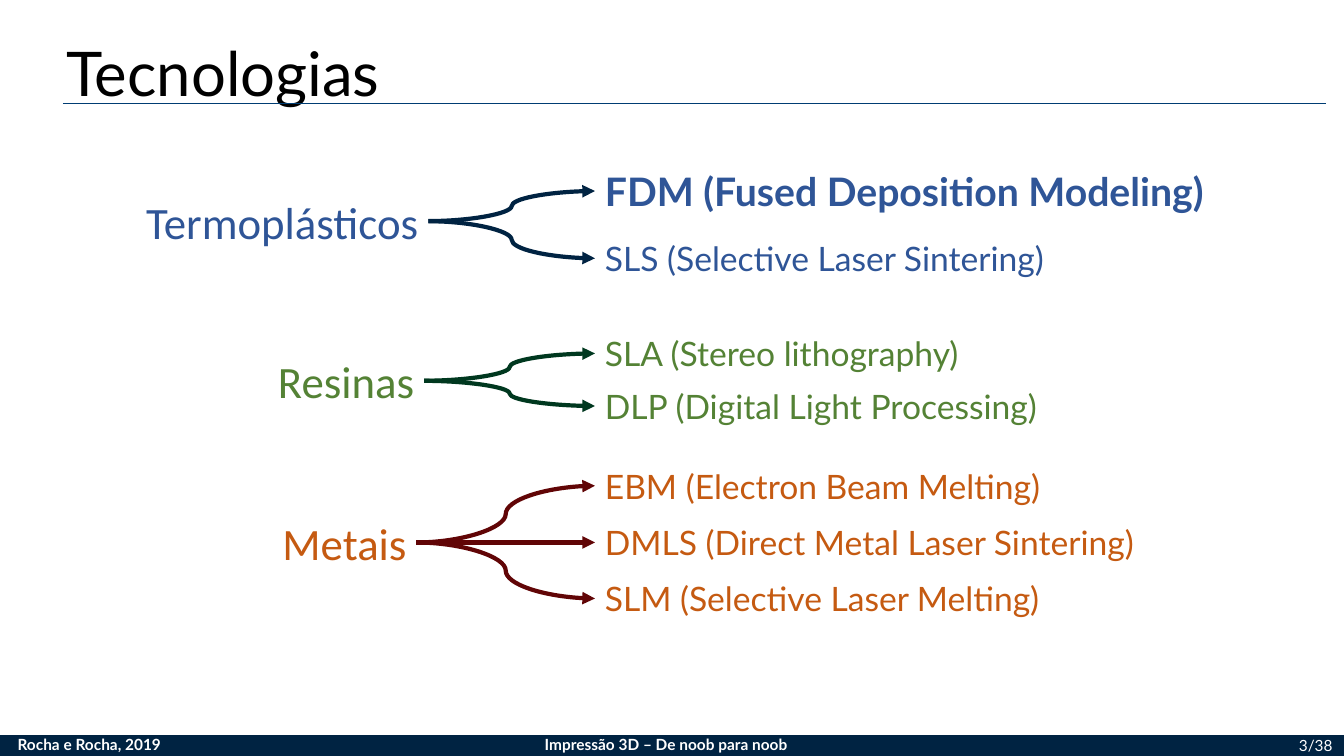
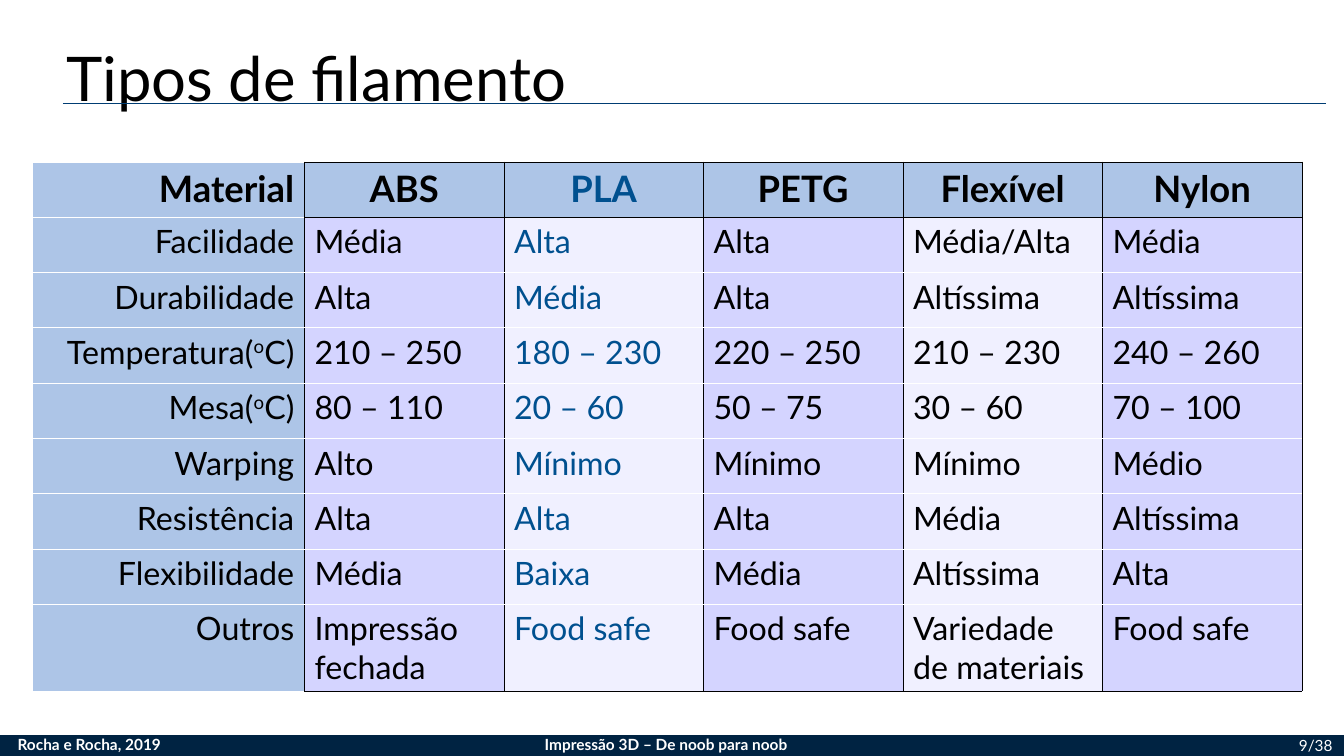
"""Build two slides on 3D printing: technologies and filament types."""
from lxml import etree
from pptx import Presentation
from pptx.dml.color import RGBColor
from pptx.enum import shapes, text
from pptx.oxml import ns
from pptx.util import Pt

COLOURS = {
    "navy": "002342", "rule": "003D73", "white": "FFFFFF", "black": "000000",
    "blue": "2F5597", "green": "548235", "orange": "C55A11",
    "dark green": "00381F", "dark red": "610506",
    "heading": "ADC5E7", "odd": "D4D4FF", "even": "F0F0FF", "highlight": "00508F",
}
WIDTH, HEIGHT = 960, 540
BAND_TOP = 525
BRANCH_LEFT = 425
LEFT, CENTRE, RIGHT = text.PP_ALIGN.LEFT, text.PP_ALIGN.CENTER, text.PP_ALIGN.RIGHT

# name, colour, arrow colour, right edge, centre, branches (text, centre)
FAMILIES = [
    ("Termoplásticos", "blue", "navy", 306, 158, [
        ("FDM (Fused Deposition Modeling)", 136.5),
        ("SLS (Selective Laser Sintering)", 184.5)]),
    ("Resinas", "green", "dark green", 303, 272, [
        ("SLA (Stereo lithography)", 252.5),
        ("DLP (Digital Light Processing)", 290)]),
    ("Metais", "orange", "dark red", 297.5, 387.5, [
        ("EBM (Electron Beam Melting)", 347),
        ("DMLS (Direct Metal Laser Sintering)", 387.5),
        ("SLM (Selective Laser Melting)", 427.5)]),
]
MAIN_BRANCH = "FDM (Fused Deposition Modeling)"

FILAMENTS = [
    ["Material", "ABS", "PLA", "PETG", "Flexível", "Nylon"],
    ["Facilidade", "Média", "Alta", "Alta", "Média/Alta", "Média"],
    ["Durabilidade", "Alta", "Média", "Alta", "Altíssima", "Altíssima"],
    ["Temperatura(^o^C)", "210 – 250", "180 – 230", "220 – 250", "210 – 230", "240 – 260"],
    ["Mesa(^o^C)", "80 – 110", "20 – 60", "50 – 75", "30 – 60", "70 – 100"],
    ["Warping", "Alto", "Mínimo", "Mínimo", "Mínimo", "Médio"],
    ["Resistência", "Alta", "Alta", "Alta", "Média", "Altíssima"],
    ["Flexibilidade", "Média", "Baixa", "Média", "Altíssima", "Alta"],
    ["Outros", "Impressão fechada", "Food safe", "Food safe", "Variedade de materiais",
     "Food safe"],
]
HIGHLIGHT_COLUMN = FILAMENTS[0].index("PLA")


def rgb(name):
    """Return the named colour."""
    return RGBColor.from_string(COLOURS[name])


def write(para, words, size, colour, bold=False, align=LEFT, font="Lato"):
    """Fill and format a paragraph; words between carets are superscript."""
    para.alignment = align
    para.font.name = font
    para.font.size = Pt(size)
    para.font.bold = bold
    para.font.color.rgb = rgb(colour)
    for index, part in enumerate(words.split("^")):
        span = para.add_run()
        span.text = part
        if index % 2:
            span._r.get_or_add_rPr().set("baseline", "33000")


def add_text(page, left, middle, width, height, words, size, colour, **style):
    """Add a text box centred vertically on a given height."""
    box = page.shapes.add_textbox(Pt(left), Pt(middle - height / 2), Pt(width), Pt(height))
    frame = box.text_frame
    frame.word_wrap = True
    frame.vertical_anchor = text.MSO_ANCHOR.MIDDLE
    write(frame.paragraphs[0], words, size, colour, **style)


def add_line(page, kind, start, end, colour, weight, arrow=False):
    """Add a connector, with an arrowhead at its end if wanted."""
    line = page.shapes.add_connector(kind, *map(Pt, start + end))
    line.line.color.rgb = rgb(colour)
    line.line.width = Pt(weight)
    if arrow:
        etree.SubElement(line.line._get_or_add_ln(), ns.qn("a:tailEnd"), type="triangle")
    etree.SubElement(line._element.spPr, ns.qn("a:effectLst"))


def add_page(deck, title, title_top, title_height, number):
    """Add a slide with the shared band, footers, rule and title."""
    page = deck.slides.add_slide(deck.slide_layouts.get_by_name("Title Only"))
    band = page.shapes.add_shape(shapes.MSO_SHAPE.RECTANGLE, 0, Pt(BAND_TOP),
                                 Pt(WIDTH), Pt(HEIGHT - BAND_TOP))
    band.shadow.inherit = False
    band.fill.solid()
    band.fill.fore_color.rgb = rgb("navy")
    band.line.fill.background()
    for left, middle, width, words, bold, align in [
            (5.5, 532, 130, "Rocha e Rocha, 2019", True, LEFT),
            (382, 532, 200, "Impressão 3D – De noob para noob", True, LEFT),
            (827, 532.5, 132, f"{number}/38", False, RIGHT)]:
        add_text(page, left, middle, width, 20, words, 11, "white", bold=bold, align=align)
    add_line(page, shapes.MSO_CONNECTOR.STRAIGHT, (45, 74), (947, 74), "rule", 1)

    heading = page.shapes.title
    heading.left, heading.top = Pt(40), Pt(title_top)
    heading.width, heading.height = Pt(828), Pt(title_height)
    frame = heading.text_frame
    frame.auto_size = text.MSO_AUTO_SIZE.NONE
    frame.vertical_anchor = text.MSO_ANCHOR.MIDDLE
    frame.paragraphs[0].line_spacing = 0.9
    write(frame.paragraphs[0], title, 44, "black")
    return page


def add_family(page, name, colour, arrow_colour, right, middle, branches):
    """Add a material family with a curved arrow to each technology."""
    add_text(page, right - 253, middle, 253, 45, name, 32, colour,
             align=RIGHT, font="Calibri")
    for words, branch_middle in branches:
        main_branch = words == MAIN_BRANCH
        add_text(page, BRANCH_LEFT, branch_middle, 480, 40 if main_branch else 36, words,
                 28 if main_branch else 24, colour, bold=main_branch)
        add_line(page, shapes.MSO_CONNECTOR.CURVE, (right, middle),
                 (BRANCH_LEFT, branch_middle), arrow_colour, 3, arrow=True)


def set_borders(cell, **edges):
    """Give each named cell edge a hairline of its colour."""
    for edge, colour in edges.items():
        line = etree.SubElement(cell._tc.get_or_add_tcPr(), ns.qn(f"a:ln{edge}"), w="762")
        fill = etree.SubElement(line, ns.qn("a:solidFill"))
        etree.SubElement(fill, ns.qn("a:srgbClr"), val=COLOURS[colour])


def format_cell(cell, row, column, words):
    """Fill a filament cell according to its row and column."""
    def across(edge):
        """Return the colour of a horizontal edge."""
        return "black" if column and edge in (0, 1, len(FILAMENTS)) else "white"

    set_borders(cell, L="black" if column else "white", R="black",
                T=across(row), B=across(row + 1))
    header = row == 0
    if header or column == 0:
        fill = "heading"
    else:
        fill = "odd" if column % 2 else "even"
    cell.fill.solid()
    cell.fill.fore_color.rgb = rgb(fill)
    align = RIGHT if column == 0 else CENTRE if header else LEFT
    write(cell.text_frame.paragraphs[0], words, 26 if header else 23,
          "highlight" if column == HIGHLIGHT_COLUMN else "black", bold=header, align=align)


def add_filament_table(page):
    """Add the table that compares the filaments."""
    widths = [194.5] + [142.5] * 5
    heights = [39.5] * 8 + [62.4]
    table = page.shapes.add_table(len(heights), len(widths), Pt(23), Pt(115.5),
                                  Pt(sum(widths)), Pt(sum(heights))).table
    table.first_row = table.horz_banding = False
    for column, width in zip(table.columns, widths):
        column.width = Pt(width)
    for row, height in zip(table.rows, heights):
        row.height = Pt(height)
    for row, values in enumerate(FILAMENTS):
        for column, words in enumerate(values):
            format_cell(table.cell(row, column), row, column, words)


def main():
    """Build and save the deck."""
    deck = Presentation()
    deck.slide_width, deck.slide_height = Pt(WIDTH), Pt(HEIGHT)
    technologies = add_page(deck, "Tecnologias", 20, 70, 3)
    for family in FAMILIES:
        add_family(technologies, *family)
    add_filament_table(add_page(deck, "Tipos de filamento", 6, 104, 9))
    deck.save("out.pptx")


if __name__ == "__main__":
    main()
